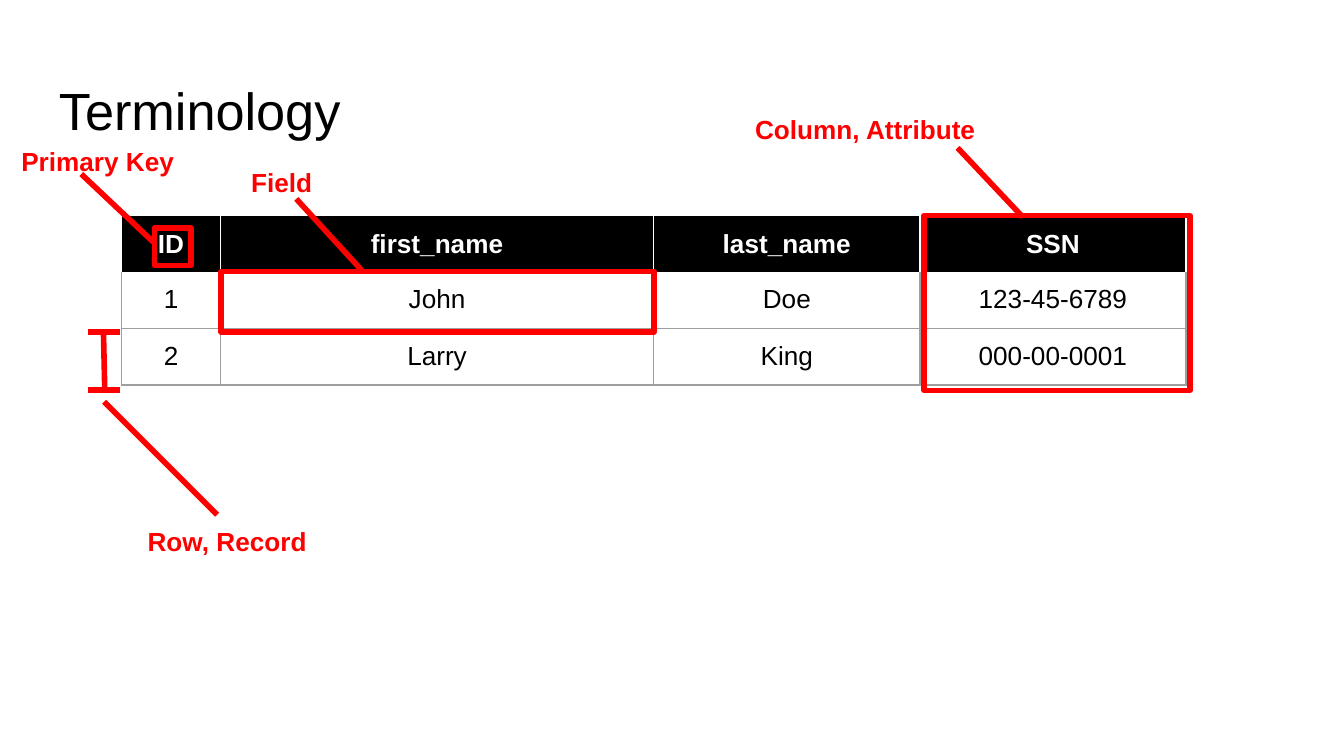
import dataclasses

import lxml.etree
import pptx
import pptx.dml.color
import pptx.enum.shapes
import pptx.enum.text
import pptx.oxml.ns
import pptx.util

PX = 4572


@dataclasses.dataclass(frozen=True)
class Theme:
    font: str = "Arial"
    ink: str = "000000"
    paper: str = "FFFFFF"
    accent: str = "FF0000"
    grid: str = "9E9E9E"
    title_size: int = 28
    text_size: int = 14
    mark_width: int = 3
    grid_width: float = 0.75


THEME = Theme()
ALIGN = pptx.enum.text.PP_ALIGN
ANCHOR = pptx.enum.text.MSO_ANCHOR

INSET = 20
CELL_TOP = 19
CELL_BOTTOM = 17
COLUMN_WIDTHS = (147, 645, 396, 396)
ROW_HEIGHT = 84
RECORDS = (
    ("ID", "first_name", "last_name", "SSN"),
    ("1", "John", "Doe", "123-45-6789"),
    ("2", "Larry", "King", "000-00-0001"),
)
LABELS = (
    ("Field", (354, 228, 132, 90)),
    ("Column, Attribute", (1104, 149, 382, 90)),
    ("Primary Key", (12, 196, 284, 90)),
    ("Row, Record", (200, 762, 300, 90)),
)
HIGHLIGHTS = (
    (329, 404, 644, 90),
    (1375, 321, 396, 260),
    (230, 339, 54, 56),
)
POINTERS = (
    (441, 296, 538, 402),
    (1425, 220, 1522, 323),
    (121, 259, 230, 362),
    (323, 766, 155, 598),
)
ROW_BRACKET = (
    (156, 584, 154, 494),
    (131, 494, 178, 494),
    (131, 580, 178, 580),
)


def emu(lengths):
    return [length * PX for length in lengths]


def rgb(value):
    return pptx.dml.color.RGBColor.from_string(value)


def add_child(parent, tag, **attributes):
    return lxml.etree.SubElement(parent, pptx.oxml.ns.qn(tag), **attributes)


def write_text(frame, text, *, size=THEME.text_size, color=THEME.ink,
               bold=False, align=ALIGN.LEFT):
    paragraph = frame.paragraphs[0]
    paragraph.alignment = align
    run = paragraph.add_run()
    run.text = text
    run.font.name = THEME.font
    run.font.size = pptx.util.Pt(size)
    run.font.bold = bold
    run.font.color.rgb = rgb(color)


def add_text(slide, text, bounds, **text_format):
    frame = slide.shapes.add_textbox(*emu(bounds)).text_frame
    frame.word_wrap = True
    frame.margin_left = frame.margin_right = INSET * PX
    frame.margin_top = frame.margin_bottom = INSET * PX
    write_text(frame, text, **text_format)


def style_mark(mark):
    mark.line.color.rgb = rgb(THEME.accent)
    mark.line.width = pptx.util.Pt(THEME.mark_width)


def add_highlight(slide, bounds):
    highlight = slide.shapes.add_shape(
        pptx.enum.shapes.MSO_SHAPE.RECTANGLE, *emu(bounds))
    highlight.shadow.inherit = False
    highlight.fill.background()
    style_mark(highlight)
    add_child(highlight.line._get_or_add_ln(), "a:round")


def add_line(slide, ends):
    line = slide.shapes.add_connector(
        pptx.enum.shapes.MSO_CONNECTOR.STRAIGHT, *emu(ends))
    style_mark(line)
    add_child(line._element.spPr, "a:effectLst")


def add_borders(cell, color, top_color):
    properties = cell._tc.get_or_add_tcPr()
    width = str(pptx.util.Pt(THEME.grid_width))
    for side in "LRTB":
        border = add_child(properties, f"a:ln{side}", w=width)
        fill = add_child(border, "a:solidFill")
        add_child(fill, "a:srgbClr", val=top_color if side == "T" else color)


def format_cell(cell, text, row):
    is_header = row == 0
    cell.margin_left = cell.margin_right = INSET * PX
    cell.margin_top = CELL_TOP * PX
    cell.margin_bottom = CELL_BOTTOM * PX
    cell.vertical_anchor = ANCHOR.MIDDLE if is_header else ANCHOR.TOP
    add_borders(cell, THEME.paper if is_header else THEME.grid,
                THEME.grid if row == 2 else THEME.paper)
    if is_header:
        cell.fill.solid()
        cell.fill.fore_color.rgb = rgb(THEME.ink)
    else:
        cell.fill.background()
    write_text(cell.text_frame, text, bold=is_header, align=ALIGN.CENTER,
               color=THEME.paper if is_header else THEME.ink)


def add_people_table(slide):
    bounds = (181, 321, sum(COLUMN_WIDTHS), ROW_HEIGHT * len(RECORDS))
    people = slide.shapes.add_table(
        len(RECORDS), len(COLUMN_WIDTHS), *emu(bounds)).table
    for column, width in zip(people.columns, COLUMN_WIDTHS):
        column.width = width * PX
    for row, record in enumerate(RECORDS):
        people.rows[row].height = ROW_HEIGHT * PX
        for column, value in enumerate(record):
            format_cell(people.cell(row, column), value, row)


def main():
    deck = pptx.Presentation()
    deck.slide_width, deck.slide_height = emu((2000, 1125))
    slide = deck.slides.add_slide(deck.slide_layouts[6])
    add_text(slide, "Terminology", (68, 97, 1864, 126), size=THEME.title_size)
    add_people_table(slide)
    for bounds in HIGHLIGHTS:
        add_highlight(slide, bounds)
    for term, bounds in LABELS:
        add_text(slide, term, bounds, color=THEME.accent, bold=True)
    for ends in POINTERS + ROW_BRACKET:
        add_line(slide, ends)
    deck.save("out.pptx")


if __name__ == "__main__":
    main()
